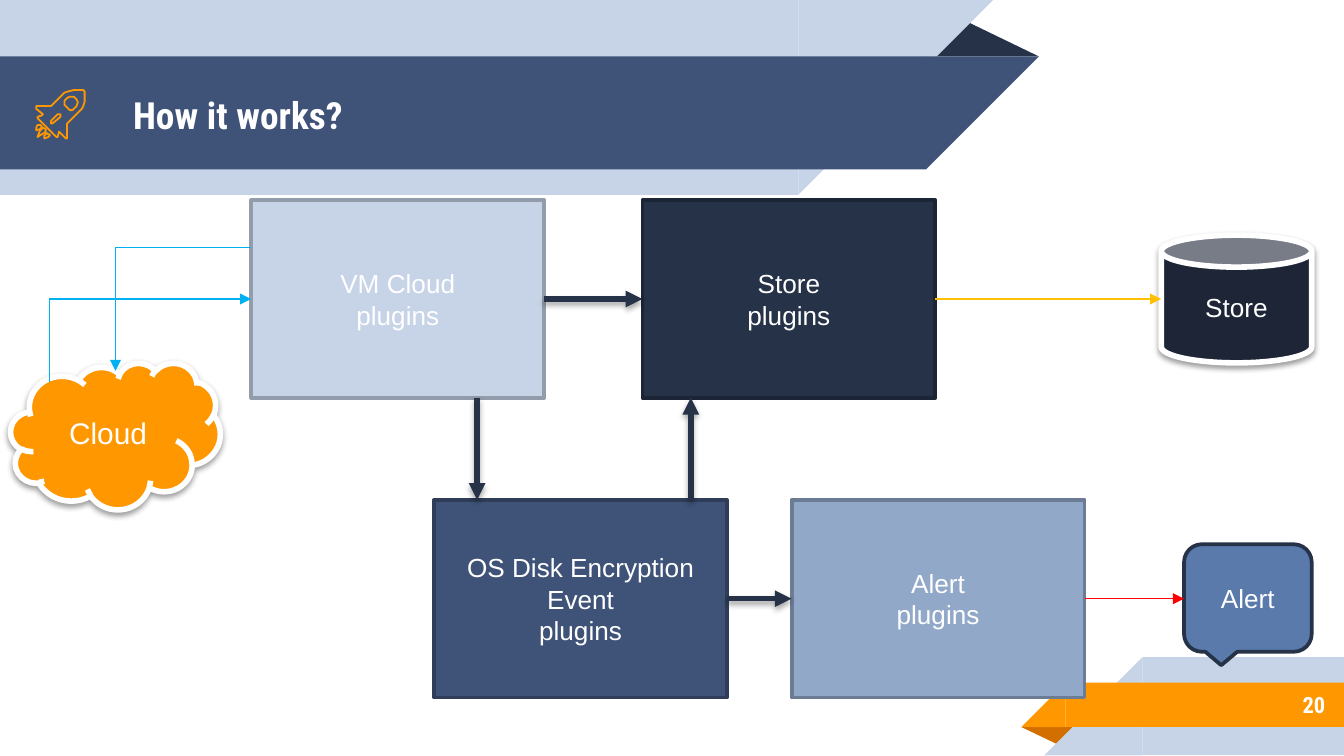
"""Build the "How it works?" slide showing how plugins pass data from cloud to alert."""
import pptx
import pptx.util
import pptx.dml.color
import pptx.enum.shapes
import pptx.enum.text
from lxml import etree

KIND = pptx.enum.shapes.MSO_SHAPE
ALIGN = pptx.enum.text.PP_ALIGN
NAVY, BLUE, PALE, ORANGE, AMBER, WHITE, SKY = (
    "263248", "3F5378", "C7D3E6", "FF9800", "D26F00", "FFFFFF", "00B0F0")

SLIDE_WIDTH = 10
SLIDE_HEIGHT = SLIDE_WIDTH * 9 / 16
HEADING, PAGE = "How it works?", "20"
# kind, (left, top, width, height), rotation, fill
RIBBONS = [
    (KIND.ISOSCELES_TRIANGLE, (6.88, 0.14, 0.85, 0.28), 0, NAVY),
    (KIND.RECTANGLE, (0, 0, 5.94, 1.45), 0, PALE),
    (KIND.RIGHT_TRIANGLE, (5.94, 0, 1.45, 1.45), 90, PALE),
    (KIND.RECTANGLE, (0, 0.42, 6.89, 0.84), 0, BLUE),
    (KIND.RIGHT_TRIANGLE, (6.89, 0.42, 0.84, 0.84), 90, BLUE),
    (KIND.ISOSCELES_TRIANGLE, (7.6, 5.41, 0.43, 0.14), 180, AMBER),
    (KIND.RECTANGLE, (8.5, 4.89, 1.5, 0.73), 0, PALE),
    (KIND.RIGHT_TRIANGLE, (7.77, 4.89, 0.73, 0.73), 270, PALE),
    (KIND.RECTANGLE, (7.93, 5.08, 2.07, 0.33), 0, ORANGE),
    (KIND.RIGHT_TRIANGLE, (7.6, 5.08, 0.33, 0.33), 270, ORANGE),
]
BOX_WIDTH, BOX_HEIGHT = 2.18, 1.47
COLUMNS, ROWS = (1.87, 3.23, 4.78, 5.89), (1.49, 3.72)
# name: (text, column, row, fill, border)
PLUGINS = {
    "cloud": ("VM Cloud\nplugins", 0, 0, PALE, "939CAA"),
    "store": ("Store\nplugins", 2, 0, NAVY, "1C2535"),
    "event": ("OS Disk Encryption Event\nplugins", 1, 1, BLUE, "2F3D59"),
    "alert": ("Alert\nplugins", 3, 1, "92A8C8", "6C7C94"),
}
TOP_AXIS, LOW_AXIS = (top + BOX_HEIGHT / 2 for top in ROWS)
GAP = (ROWS[0] + BOX_HEIGHT, ROWS[1])
# start, end, plugin at start, plugin at end
FLOWS = [
    ((4.05, TOP_AXIS), (4.78, TOP_AXIS), "cloud", "store"),
    ((3.55, GAP[0]), (3.55, GAP[1]), None, None),
    ((5.14, GAP[1]), (5.14, GAP[0]), None, None),
    ((5.41, LOW_AXIS), (5.89, LOW_AXIS), "event", "alert"),
]
# text, kind, box, fill, border, border width, text size, shadow
ENDPOINTS = [
    ("Cloud", KIND.CLOUD, (0.08, 2.7, 1.56, 1.09), ORANGE, WHITE, 3, 16, True),
    ("Store", KIND.CAN, (8.64, 1.75, 1.12, 0.95), "1D2536", WHITE, 3, 14, True),
    ("Alert", KIND.ROUNDED_RECTANGULAR_CALLOUT, (8.81, 4.05, 0.95, 0.8),
     "597AAB", NAVY, 2, 14, False),
]
# start, end, colour, plugin at start
OUTPUTS = [
    ((6.96, TOP_AXIS), (8.64, TOP_AXIS), "FFC000", "store"),
    ((8.07, LOW_AXIS), (8.81, LOW_AXIS), "FF0000", "alert"),
]
# start, end, arrowhead
CLOUD_LINKS = [
    ((1.87, 1.84), (0.86, 2.76), "tailEnd"),
    ((1.87, TOP_AXIS), (0.37, 2.84), "headEnd"),
]
# outlines in hundredths of an inch
ROCKET = [
    [(50, 102), (50, 92), (61, 81), (62, 79), (63, 76), (63, 68), (62, 67),
     (55, 67), (51, 68), (48, 69), (38, 79), (27, 79), (27, 81), (32, 85),
     (31, 86), (28, 87), (28, 88), (42, 102), (43, 102), (44, 98), (49, 103),
     (50, 103)],
    [(39, 92), (38, 92), (38, 90), (43, 85), (45, 85), (45, 87)],
    [(54, 82), (52, 82), (48, 78), (48, 75), (50, 73), (52, 72), (55, 72),
     (57, 74), (58, 76), (57, 79)],
]
FLAMES = [
    [(34, 96), (32, 95), (30, 97), (29, 99), (28, 102), (31, 100), (33, 99),
     (34, 98)],
    [(36, 100), (35, 99), (34, 100), (33, 101), (33, 103), (36, 102),
     (37, 101), (37, 100)],
    [(30, 93), (28, 93), (27, 95), (27, 97), (30, 96), (31, 95), (31, 94)],
]


def rgb(hex_code):
    return pptx.dml.color.RGBColor.from_string(hex_code)


def inches(values):
    return [pptx.util.Inches(value) for value in values]


def write(holder, text, size=14, font="Arial", bold=False, align=ALIGN.CENTER, inset=0.05):
    frame = holder.text_frame
    frame.word_wrap = True
    frame.auto_size = pptx.enum.text.MSO_AUTO_SIZE.NONE
    frame.vertical_anchor = pptx.enum.text.MSO_ANCHOR.MIDDLE
    frame.margin_top = frame.margin_bottom = pptx.util.Inches(inset)
    frame.text = text
    for paragraph in frame.paragraphs:
        paragraph.alignment = align
        paragraph.font.size = pptx.util.Pt(size)
        paragraph.font.name = font
        paragraph.font.bold = bold
        paragraph.font.color.rgb = rgb(WHITE)


def add_xml(parent, tag, **attributes):
    child = etree.SubElement(parent, pptx.oxml.ns.qn(tag))
    for key, value in attributes.items():
        child.set(key, str(value))
    return child


def cast_shadow(effects, opacity, distance):
    shadow = add_xml(effects, "a:outerShdw", blurRad=pptx.util.Pt(3.1),
                     dist=pptx.util.Pt(distance), dir=90 * 60000, rotWithShape=0)
    add_xml(add_xml(shadow, "a:srgbClr", val="000000"), "a:alpha", val=opacity * 1000)


def outline(part, colour, width):
    part.line.color.rgb = rgb(colour)
    part.line.width = pptx.util.Pt(width)


def draw(slide, kind, box, fill, border=None, width=2):
    part = slide.shapes.add_shape(kind, *inches(box))
    part.shadow.inherit = False
    part.fill.solid()
    part.fill.fore_color.rgb = rgb(fill)
    if border:
        outline(part, border, width)
    else:
        part.line.fill.background()
    return part


def link(slide, start, end, colour, width=0.75, arrow="tailEnd", bent=False, shadow=False):
    kinds = pptx.enum.shapes.MSO_CONNECTOR
    arm = slide.shapes.add_connector(kinds.ELBOW if bent else kinds.STRAIGHT,
                                     *inches(start + end))
    outline(arm, colour, width)
    properties = arm._element.spPr
    if bent:
        properties.find(pptx.oxml.ns.qn("a:prstGeom")).set("prst", "bentConnector2")
    add_xml(arm.line._get_or_add_ln(), f"a:{arrow}", type="triangle")
    effects = add_xml(properties, "a:effectLst")
    if shadow:
        cast_shadow(effects, 35, 1.8)
    return arm


def trace(slide, contours):
    builder = None
    for first, *rest in contours:
        if builder is None:
            builder = slide.shapes.build_freeform(*first, scale=pptx.util.Inches(0.01))
        else:
            builder.move_to(*first)
        builder.add_line_segments(rest, close=True)
    icon = builder.convert_to_shape()
    icon.shadow.inherit = False
    icon.fill.background()
    outline(icon, ORANGE, 0.96)


def main():
    deck = pptx.Presentation()
    deck.slide_width, deck.slide_height = inches((SLIDE_WIDTH, SLIDE_HEIGHT))
    slide = deck.slides.add_slide(deck.slide_layouts[5])

    for kind, box, rotation, fill in RIBBONS:
        ribbon = draw(slide, kind, box, fill)
        ribbon.rotation = rotation
        if kind == KIND.ISOSCELES_TRIANGLE:
            ribbon.adjustments[0] = 0.32

    title = slide.shapes.title
    title.left, title.top, title.width, title.height = inches((0.89, 0.43, 5.75, 0.84))
    slide.shapes._spTree.append(title._element)
    write(title, HEADING, size=20, font="Roboto Condensed", bold=True,
          align=ALIGN.LEFT, inset=0.1)
    page = slide.shapes.add_textbox(*inches((8.33, 5.07, 1.63, 0.35)))
    write(page, PAGE, size=12, font="Roboto Condensed", bold=True,
          align=ALIGN.RIGHT, inset=0.1)

    plugins = {}
    for name, (text, column, row, fill, border) in PLUGINS.items():
        box = (COLUMNS[column], ROWS[row], BOX_WIDTH, BOX_HEIGHT)
        plugins[name] = draw(slide, KIND.RECTANGLE, box, fill, border)
        write(plugins[name], text)

    for start, end, source, target in FLOWS:
        flow = link(slide, start, end, NAVY, width=3, shadow=True)
        if source:
            flow.begin_connect(plugins[source], 3)
            flow.end_connect(plugins[target], 1)

    for text, kind, box, fill, border, width, size, shadow in ENDPOINTS:
        endpoint = draw(slide, kind, box, fill, border, width)
        write(endpoint, text, size=size)
        if shadow:
            cast_shadow(endpoint._element.spPr.find(pptx.oxml.ns.qn("a:effectLst")), 38, 1.6)

    for start, end, arrow in CLOUD_LINKS:
        link(slide, start, end, SKY, arrow=arrow, bent=True)
    for start, end, colour, source in OUTPUTS:
        link(slide, start, end, colour).begin_connect(plugins[source], 3)

    for contours in [ROCKET] + [[flame] for flame in FLAMES]:
        trace(slide, contours)
    deck.save("out.pptx")


if __name__ == "__main__":
    main()
